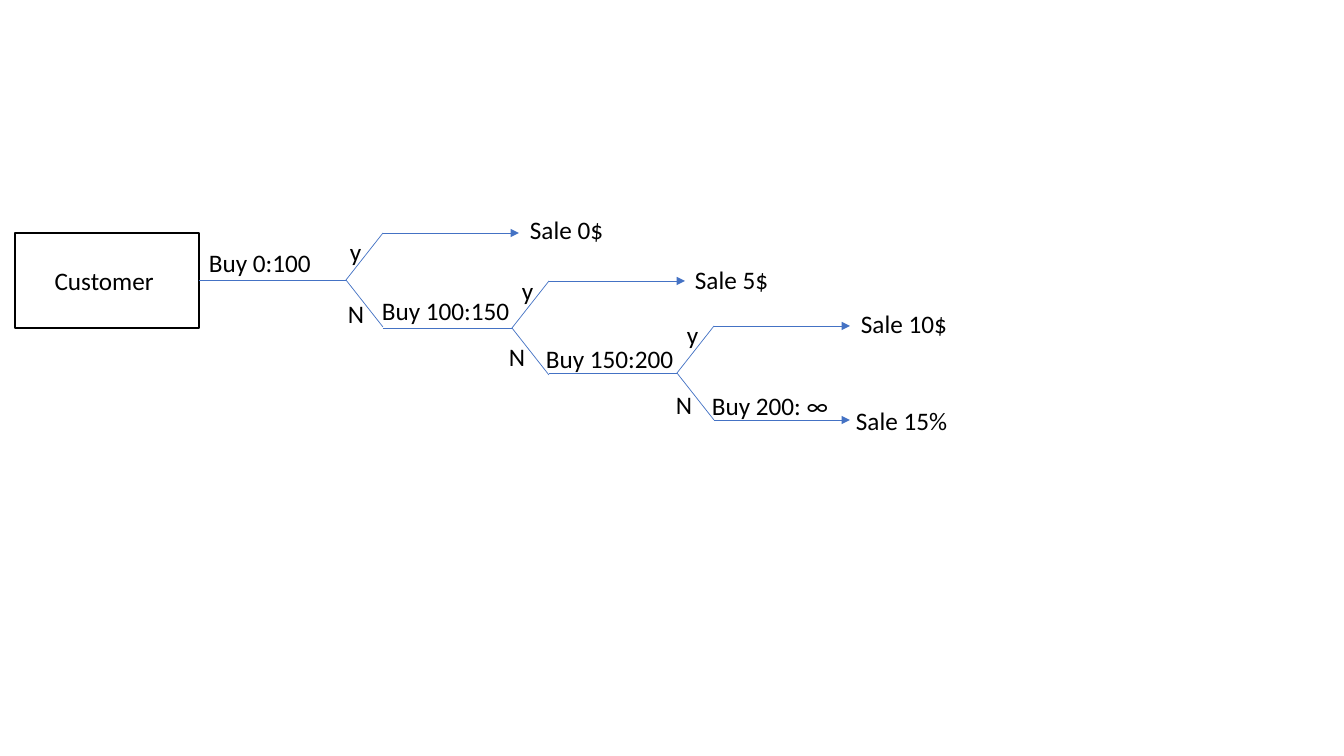
from dataclasses import dataclass
from pptx import Presentation
from pptx.dml.color import RGBColor
from pptx.enum.shapes import MSO_CONNECTOR, MSO_SHAPE
from pptx.enum.text import MSO_ANCHOR, MSO_AUTO_SIZE, PP_ALIGN
from pptx.oxml.ns import qn
from pptx.util import Emu, Pt
from lxml.etree import SubElement

SCALE = 914400 / 100.8  # EMU per pixel


def px(num):
    return Emu(round(num * SCALE))


@dataclass
class Theme:
    font: str = "Calibri"
    size: float = 18
    ink: str = "000000"
    paper: str = "FFFFFF"
    branch: str = "4472C4"
    thin: float = 0.5
    edge: float = 1


def write(frame, text, *, font, size, color, align=PP_ALIGN.LEFT,
          anchor=MSO_ANCHOR.TOP):
    frame.word_wrap = True
    frame.vertical_anchor = anchor
    para = frame.paragraphs[0]
    para.alignment = align
    run = para.add_run()
    run.text = text
    run.font.name, run.font.size = font, Pt(size)
    run.font.color.rgb = RGBColor.from_string(color)


class Board:
    def __init__(self, slide, theme):
        self.shapes, self.theme = slide.shapes, theme
        self.style = dict(font=theme.font, size=theme.size, color=theme.ink)

    def box(self, text, x, y, wide, high):
        item = self.shapes.add_shape(MSO_SHAPE.RECTANGLE, px(x), px(y),
                                     px(wide), px(high))
        item.shadow.inherit = False
        item.fill.solid()
        item.fill.fore_color.rgb = RGBColor.from_string(self.theme.paper)
        item.line.color.rgb = RGBColor.from_string(self.theme.ink)
        item.line.width = Pt(self.theme.edge)
        write(item.text_frame, text, align=PP_ALIGN.CENTER,
              anchor=MSO_ANCHOR.MIDDLE, **self.style)

    def label(self, text, x, y, wide=131, high=40):
        item = self.shapes.add_textbox(px(x), px(y), px(wide), px(high))
        write(item.text_frame, text, **self.style)
        item.text_frame.auto_size = MSO_AUTO_SIZE.SHAPE_TO_FIT_TEXT

    def line(self, start, end, arrow=False):
        item = self.shapes.add_connector(MSO_CONNECTOR.STRAIGHT,
                                         *map(px, start + end))
        item.line.color.rgb = RGBColor.from_string(self.theme.branch)
        item.line.width = Pt(self.theme.thin)
        if arrow:
            SubElement(item.line._get_or_add_ln(), qn("a:tailEnd"),
                       type="triangle")
        SubElement(item._element.spPr, qn("a:effectLst"))


deck = Presentation()
deck.slide_width, deck.slide_height = px(1344), px(756)
board = Board(deck.slides.add_slide(deck.slide_layouts[6]), Theme())

# Root of the tree
board.box("Customer ", 15, 233, 184, 95)

# Each fork splits into a sale (y) and the next range (N)
RUN, RISE, REACH = 37, 47, 136
forks = [(346, 280), (512, 328), (677, 373)]
left = 199
for x, y in forks:
    turn = x + RUN
    board.line((left, y), (x, y))
    board.line((x, y), (turn, y - RISE))
    board.line((turn, y - RISE), (turn + REACH, y - RISE), arrow=True)
    board.line((x, y), (turn, y + RISE))
    left = turn
board.line((left, y + RISE), (left + REACH, y + RISE), arrow=True)

# Answers at the forks
answers = {"y": [(340, 231), (512, 270), (677, 314)],
           "N": [(338, 293), (499, 336), (666, 384)]}
for text, spots in answers.items():
    for spot in spots:
        board.label(text, *spot)

# Purchase ranges and the sales they earn
labels = [("Buy 0:100", 199, 242), ("Buy 100:150", 372, 290, 156),
          ("Buy 150:200", 536, 338, 162), ("Buy 200: ∞", 702, 385, 162),
          ("Sale 0$", 520, 209), ("Sale 5$", 685, 259),
          ("Sale 10$", 851, 303), ("Sale 15%", 846, 400)]
for label in labels:
    board.label(*label)

deck.save("out.pptx")
